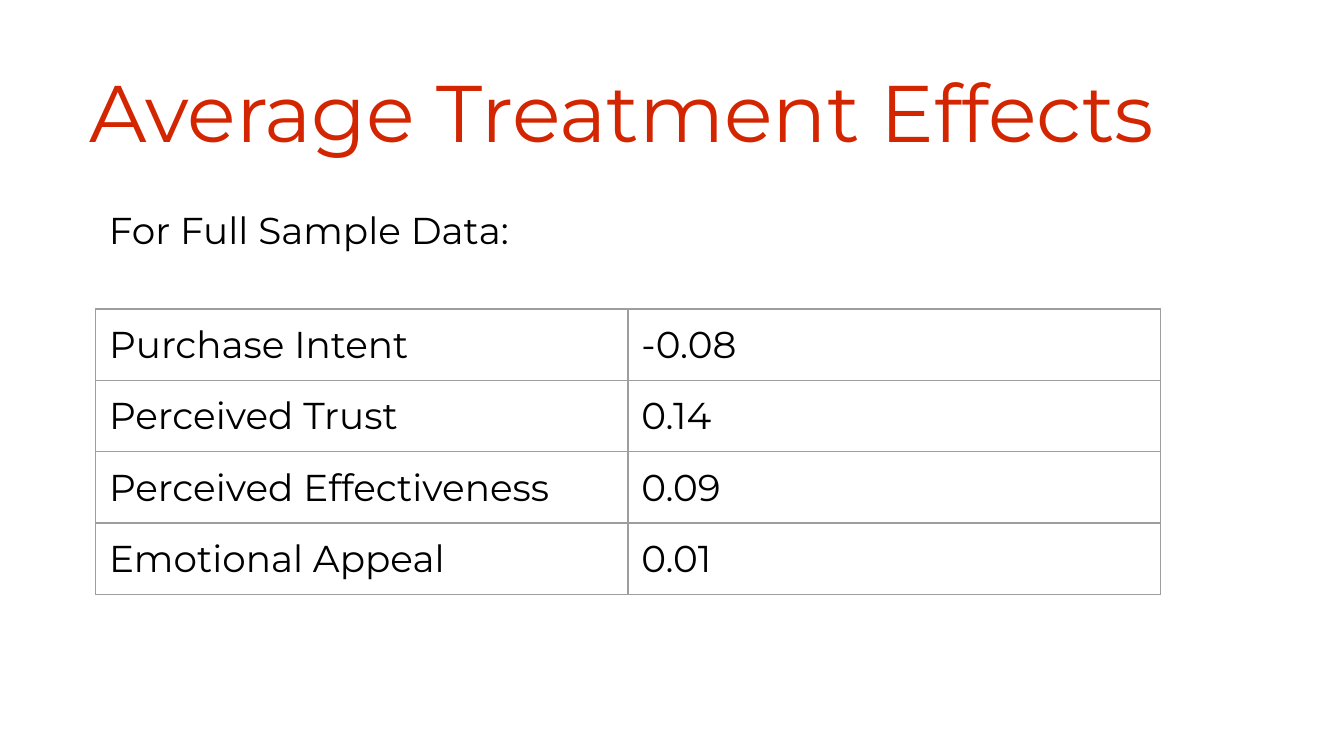
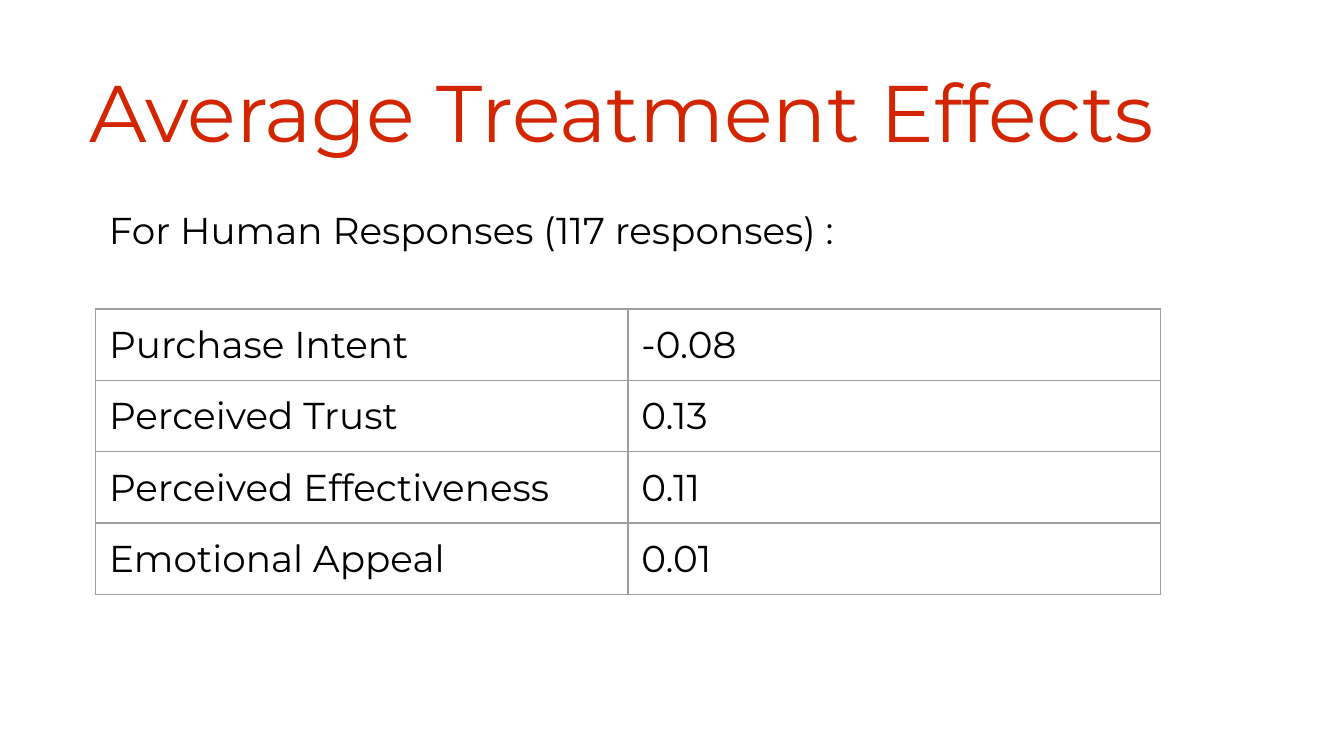
from dataclasses import dataclass

from pptx import Presentation
from pptx import util as u
from pptx.dml import color
from pptx.enum import text
from pptx.oxml import parse_xml
from pptx.oxml.ns import nsdecls


@dataclass(frozen=True)
class Theme:
    font: str = "Montserrat"
    title_color: str = "D32600"
    text_color: str = "000000"
    background: str = "FFFFFF"
    border_color: str = "9E9E9E"
    title_size: float = 43
    text_size: float = 20
    border_width: float = 0.75
    inset: float = 0.25


theme = Theme()


def format_text(frame, size, ink):
    frame.margin_left = frame.margin_right = u.Cm(theme.inset)
    frame.margin_top = frame.margin_bottom = u.Cm(theme.inset)
    for para in frame.paragraphs:
        para.alignment = text.PP_ALIGN.LEFT
        for span in para.runs:
            span.font.name = theme.font
            span.font.size = u.Pt(size)
            span.font.color.rgb = color.RGBColor.from_string(ink)


def draw_borders(cell):
    properties = cell._tc.get_or_add_tcPr()
    for index, edge in enumerate(("lnL", "lnR", "lnT", "lnB")):
        line = parse_xml(
            f'<a:{edge} {nsdecls("a")} w="{u.Pt(theme.border_width)}">'
            f'<a:solidFill><a:srgbClr val="{theme.border_color}"/></a:solidFill>'
            f"</a:{edge}>"
        )
        properties.insert(index, line)


measures = ["Purchase Intent", "Perceived Trust", "Perceived Effectiveness", "Emotional Appeal"]
samples = [
    ("For Full Sample Data:", ["-0.08", "0.14", "0.09", "0.01"]),
    ("For Human Responses (117 responses) :", ["-0.08", "0.13", "0.11", "0.01"]),
]

deck = Presentation()
deck.slide_width = u.Cm(25.4)
deck.slide_height = u.Cm(14.29)
title_only = deck.slide_layouts[5]

left = u.Cm(1.81)
column_width = u.Cm(10.06)
row_height = u.Cm(1.07)

for sample, effects in samples:
    page = deck.slides.add_slide(title_only)
    page.background.fill.solid()
    page.background.fill.fore_color.rgb = color.RGBColor.from_string(theme.background)

    title = page.shapes.title
    title.left, title.top = u.Cm(1.45), u.Cm(1.04)
    title.width, title.height = u.Cm(22.48), u.Cm(2.08)
    title.text_frame.text = "Average Treatment Effects"
    title.text_frame.auto_size = text.MSO_AUTO_SIZE.NONE
    title.text_frame.vertical_anchor = text.MSO_ANCHOR.MIDDLE
    format_text(title.text_frame, theme.title_size, theme.title_color)

    box = page.shapes.add_textbox(left, u.Cm(3.66), u.Cm(22.48), u.Cm(1.37))
    box.text_frame.text = sample
    box.text_frame.word_wrap = True
    box.text_frame.auto_size = text.MSO_AUTO_SIZE.SHAPE_TO_FIT_TEXT
    format_text(box.text_frame, theme.text_size, theme.text_color)

    table = page.shapes.add_table(
        len(measures), 2, left, u.Cm(5.84), 2 * column_width, len(measures) * row_height
    ).table
    table.first_row = False
    table.horz_banding = False
    for row, values in enumerate(zip(measures, effects)):
        for column, value in enumerate(values):
            cell = table.cell(row, column)
            cell.text_frame.text = value
            format_text(cell.text_frame, theme.text_size, theme.text_color)
            cell.margin_left = cell.margin_right = u.Cm(theme.inset)
            cell.margin_top = cell.margin_bottom = u.Cm(theme.inset)
            cell.fill.background()
            draw_borders(cell)

deck.save("out.pptx")
